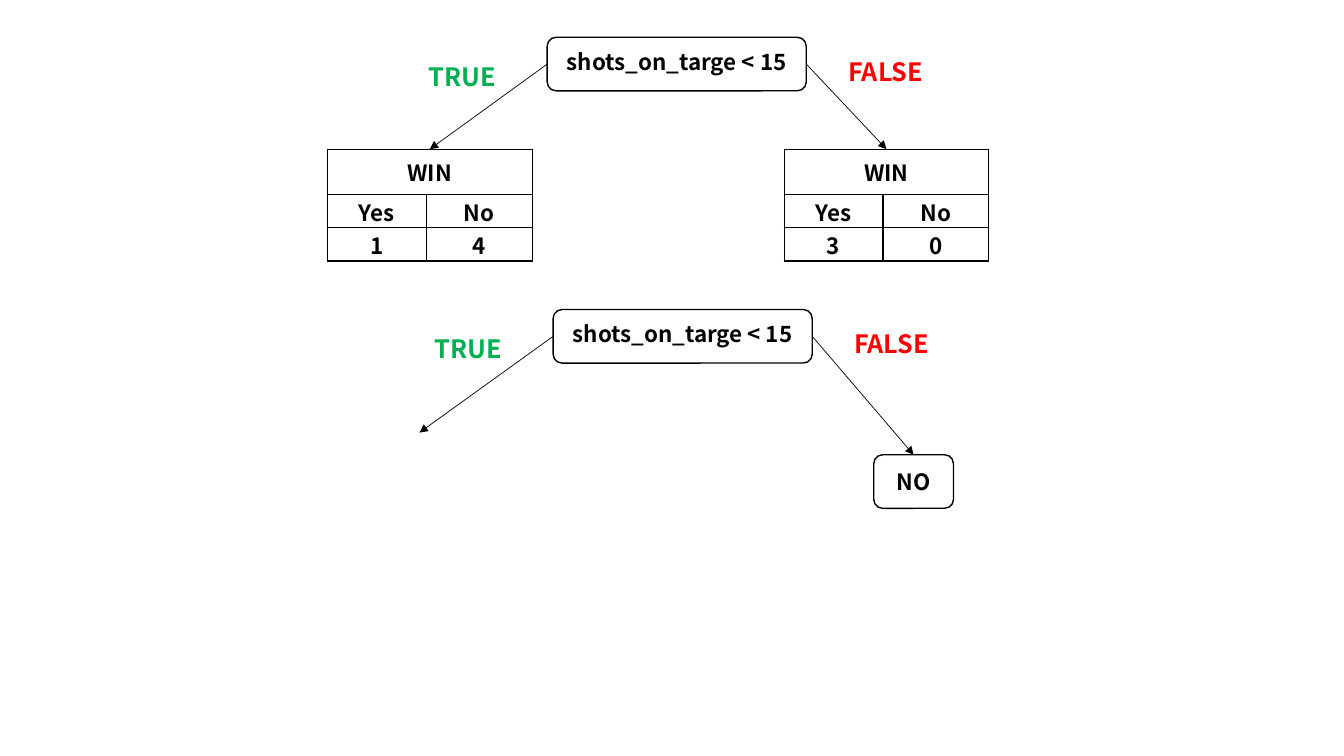
from lxml.etree import SubElement
from pptx import Presentation
from pptx.dml.color import RGBColor
from pptx.enum.shapes import MSO_CONNECTOR, MSO_SHAPE
from pptx.enum.text import MSO_ANCHOR, PP_ALIGN
from pptx.oxml import parse_xml
from pptx.oxml.ns import nsdecls, qn
from pptx.util import Cm, Pt

FONT = "Noto Sans CJK SC"
BLACK, GREEN, RED = "000000", "00B050", "FF0000"
LEFT_SIDE, RIGHT_SIDE, TOP_SIDE = 1, 3, 0
NODE_H = 1.35


def color(hex_str):
    return RGBColor.from_string(hex_str)


def write(tf, text, size=16, hex_str=BLACK, align=PP_ALIGN.CENTER):
    tf.text = text
    p = tf.paragraphs[0]
    p.alignment = align
    font = p.runs[0].font
    font.name, font.size, font.bold = FONT, Pt(size), True
    font.color.rgb = color(hex_str)


def add_node(slide, x, y, w, text, lift=0):
    """Rounded tree node; lift is extra bottom inset that raises the text."""
    sp = slide.shapes.add_shape(MSO_SHAPE.ROUNDED_RECTANGLE,
                                Cm(x), Cm(y), Cm(w), Cm(NODE_H))
    sp.shadow.inherit = False
    sp.fill.background()
    sp.line.color.rgb = color(BLACK)
    sp.line.width = Pt(1)
    tf = sp.text_frame
    tf.word_wrap = False
    tf.vertical_anchor = MSO_ANCHOR.MIDDLE
    tf.margin_top, tf.margin_bottom = 0, Cm(lift)
    write(tf, text)
    return sp


def add_label(slide, x, y, text, hex_str, align):
    tb = slide.shapes.add_textbox(Cm(x), Cm(y), Cm(2.84), Cm(1.02))
    tb.text_frame.word_wrap = True
    write(tb.text_frame, text, 18, hex_str, align)


def add_arrow(slide, node, side, end):
    """Arrow from a side of a node to the point end."""
    cn = slide.shapes.add_connector(MSO_CONNECTOR.STRAIGHT, 0, 0,
                                    Cm(end[0]), Cm(end[1]))
    cn.begin_connect(node, side)
    cn.line.color.rgb = color(BLACK)
    cn.line.width = Pt(0.5)
    SubElement(cn.line._get_or_add_ln(), qn("a:tailEnd"), type="triangle")
    SubElement(cn._element.spPr, qn("a:effectLst"))
    return cn


def add_split(slide, x, y, true_end, false_end):
    """Decision node with its two labelled branches; returns the arrows."""
    w = 6.53
    node = add_node(slide, x, y, w, "shots_on_targe < 15", lift=0.15)
    arrows = (add_arrow(slide, node, LEFT_SIDE, true_end),
              add_arrow(slide, node, RIGHT_SIDE, false_end))
    add_label(slide, x - 3.23, y + 0.48, "TRUE", GREEN, PP_ALIGN.LEFT)
    add_label(slide, x + w + 0.58, y + 0.36, "FALSE", RED, PP_ALIGN.CENTER)
    return arrows


def add_borders(cell):
    tcPr = cell._tc.get_or_add_tcPr()
    for i, side in enumerate("LRTB"):
        tcPr.insert(i, parse_xml(
            f'<a:ln{side} {nsdecls("a")} w="{Pt(1)}"><a:solidFill>'
            f'<a:srgbClr val="{BLACK}"/></a:solidFill></a:ln{side}>'))


def add_win_table(slide, x, y, yes, no):
    """Counts of wins under a merged heading."""
    widths, heights = (2.49, 2.67), (1.14, 0.84, 0.84)
    table = slide.shapes.add_table(3, 2, Cm(x), Cm(y), Cm(sum(widths)),
                                   Cm(sum(heights))).table
    table.first_row = table.horz_banding = False
    for col, w in zip(table.columns, widths):
        col.width = Cm(w)
    for row, h in zip(table.rows, heights):
        row.height = Cm(h)
    table.cell(0, 0).merge(table.cell(0, 1))
    for r, texts in enumerate((("WIN", ""), ("Yes", "No"), (yes, no))):
        for c, text in enumerate(texts):
            cell = table.cell(r, c)
            cell.fill.background()
            cell.vertical_anchor = MSO_ANCHOR.MIDDLE
            cell.margin_left = cell.margin_right = cell.margin_top = Cm(0.02)
            cell.margin_bottom = 0
            add_borders(cell)
            if text:
                write(cell.text_frame, text)


def main():
    prs = Presentation()
    prs.slide_width, prs.slide_height = Cm(33.87), Cm(19.05)
    slide = prs.slides.add_slide(prs.slide_layouts[6])

    # Split with the counts in each branch
    table_y, table_mid = 3.76, 2.58
    true_x, false_x = 8.25, 19.76
    add_win_table(slide, true_x, table_y, "1", "4")
    add_win_table(slide, false_x, table_y, "3", "0")
    add_split(slide, 13.79, 0.94, (true_x + table_mid, table_y),
              (false_x + table_mid, table_y))

    # Same split with its leaf
    leaf_x, leaf_y, leaf_w = 22.02, 11.46, 2.01
    leaf = add_node(slide, leaf_x, leaf_y, leaf_w, "NO")
    _, false_arrow = add_split(slide, 13.94, 7.8, (10.57, 10.9),
                               (leaf_x + leaf_w / 2, leaf_y))
    false_arrow.end_connect(leaf, TOP_SIDE)

    prs.save("out.pptx")


if __name__ == "__main__":
    main()
